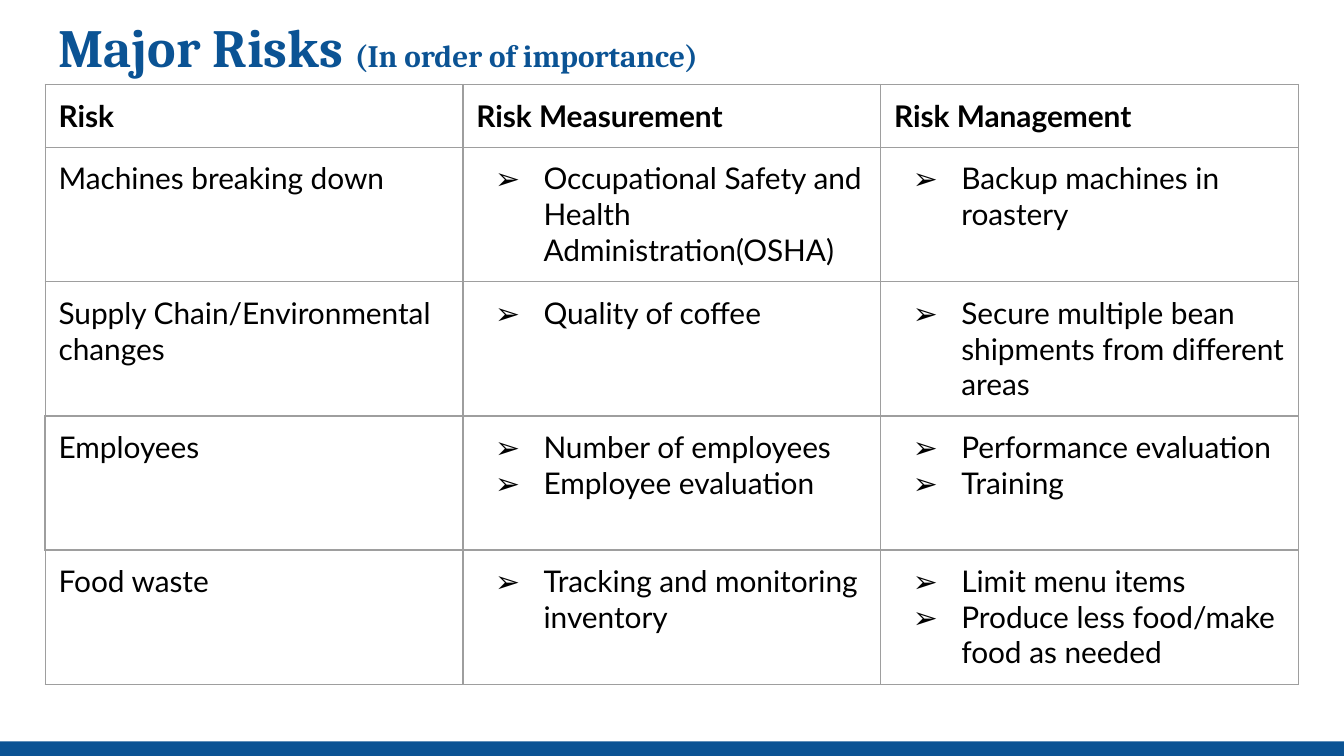
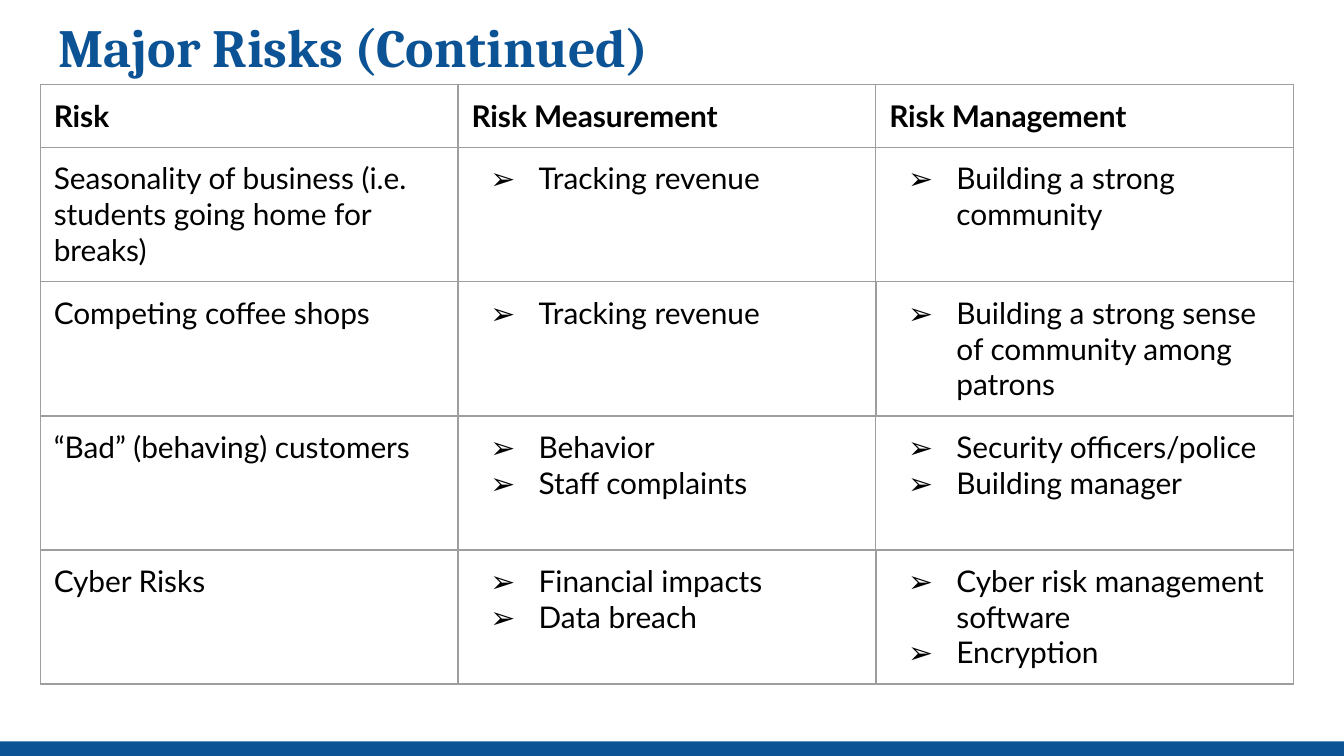
"""Build two slides that list major risks in tables."""
import dataclasses

import pptx
import pptx.dml.color
import pptx.enum.shapes
import pptx.enum.text
import pptx.oxml
import pptx.oxml.ns
import pptx.util

Pt = pptx.util.Pt


def rgb(value):
    """Return a colour from its hex digits."""
    return pptx.dml.color.RGBColor.from_string(value)


@dataclasses.dataclass(frozen=True)
class Theme:
    """Hold the colours, fonts, type sizes and line widths of the deck."""

    blue: str = "0B5394"
    white: str = "FFFFFF"
    black: str = "000000"
    grey: str = "9E9E9E"
    title_font: str = "Cambria"
    body_font: str = "Lato"
    title_size: float = 28.8
    subtitle_size: float = 16.7
    body_size: float = 16
    inset: float = 7.2
    bullet_indent: float = 36
    bullet_hang: float = 25.9
    thin: float = 0.75
    thick: float = 1
    header_height: float = 33.2
    row_height: float = 71.7


@dataclasses.dataclass(frozen=True)
class Box:
    """Describe a region of the page in points."""

    left: float
    top: float
    width: float
    height: float

    def lengths(self):
        """Return left, top, width and height as lengths."""
        return [Pt(value) for value in dataclasses.astuple(self)]


THEME = Theme()
PAGE = Box(0, 0, 720, 405)
BAND = Box(0, 397.2, PAGE.width, 7.8)
TITLE = Box(24.2, 0, 671.4, 48.8)
TABLE_TOP = 45.2
HEADINGS = ("Risk", "Risk Measurement", "Risk Management")

PAGES = [
    {
        "title": [("Major Risks ", THEME.title_size),
                  ("(In order of importance)", THEME.subtitle_size)],
        "table_left": 24.2,
        "thick_rows": {3},
        "risks": [
            ("Machines breaking down",
             ["Occupational Safety and Health Administration(OSHA)"],
             ["Backup machines in roastery"]),
            ("Supply Chain/Environmental changes",
             ["Quality of coffee"],
             ["Secure multiple bean shipments from different areas"]),
            ("Employees",
             ["Number of employees", "Employee evaluation"],
             ["Performance evaluation", "Training"]),
            ("Food waste",
             ["Tracking and monitoring inventory"],
             ["Limit menu items", "Produce less food/make food as needed"]),
        ],
    },
    {
        "title": [("Major Risks (Continued)", THEME.title_size)],
        "table_left": 21.6,
        "thick_rows": {2, 4},
        "risks": [
            ("Seasonality of business (i.e. students going home for breaks)",
             ["Tracking revenue"],
             ["Building a strong community"]),
            ("Competing coffee shops",
             ["Tracking revenue"],
             ["Building a strong sense of community among patrons"]),
            ("“Bad” (behaving) customers",
             ["Behavior", "Staff complaints"],
             ["Security officers/police", "Building manager"]),
            ("Cyber Risks",
             ["Financial impacts", "Data breach"],
             ["Cyber risk management software", "Encryption"]),
        ],
    },
]


def apply_format(target, values):
    """Set each named attribute of the target."""
    for name, value in values.items():
        setattr(target, name, value)


def margins():
    """Return the equal insets used by the title and the cells."""
    sides = ("left", "top", "right", "bottom")
    return {f"margin_{side}": Pt(THEME.inset) for side in sides}


def add_span(para, text, color, **values):
    """Add one formatted run to a paragraph."""
    span = para.add_run()
    span.text = text
    apply_format(span.font, values)
    span.font.color.rgb = rgb(color)


def add_element(parent, xml):
    """Append an element of the drawing namespace to its parent."""
    tag, rest = xml.split(" ", 1)
    namespace = pptx.oxml.ns.nsdecls("a")
    parent.append(pptx.oxml.parse_xml(f"<a:{tag} {namespace} {rest}"))


def add_bullet(para):
    """Give a paragraph an arrow bullet with a hanging indent."""
    properties = para._p.get_or_add_pPr()
    properties.set("marL", str(Pt(THEME.bullet_indent)))
    properties.set("indent", str(-Pt(THEME.bullet_hang)))
    add_element(properties, f'buClr ><a:srgbClr val="{THEME.black}"/></a:buClr>')
    add_element(properties, f'buSzPts val="{THEME.body_size * 100}"/>')
    add_element(properties, f'buFont typeface="{THEME.body_font}"/>')
    add_element(properties, 'buChar char="➢"/>')


def add_borders(cell, widths):
    """Draw the cell borders, with one width for each side."""
    properties = cell._tc.get_or_add_tcPr()
    for side, width in widths.items():
        add_element(properties, f'ln{side} w="{Pt(width)}"><a:solidFill>'
                                f'<a:srgbClr val="{THEME.grey}"/></a:solidFill>'
                                f'</a:ln{side}>')


def border_widths(row, thick_rows):
    """Return side widths; an edge is thick if either row beside it is."""
    def width(*rows):
        return THEME.thick if thick_rows.intersection(rows) else THEME.thin

    return {"L": width(row), "R": width(row),
            "T": width(row - 1, row), "B": width(row, row + 1)}


def fill_cell(cell, content, bold, widths):
    """Write plain text, or a list of bulleted items, in a bordered cell."""
    add_borders(cell, widths)
    cell.fill.background()
    apply_format(cell, margins())
    bulleted = isinstance(content, list)
    frame = cell.text_frame
    for index, text in enumerate(content if bulleted else [content]):
        para = frame.add_paragraph() if index else frame.paragraphs[0]
        if bulleted:
            add_bullet(para)
        add_span(para, text, THEME.black, name=THEME.body_font,
                 size=Pt(THEME.body_size), bold=bold)


def add_band(page, box):
    """Draw the footer band."""
    band = page.shapes.add_shape(
        pptx.enum.shapes.MSO_SHAPE.RECTANGLE, *box.lengths())
    band.shadow.inherit = False
    band.fill.solid()
    band.fill.fore_color.rgb = rgb(THEME.blue)
    band.line.fill.background()


def add_title(page, box, parts):
    """Write the title from its parts of text and size."""
    frame = page.shapes.add_textbox(*box.lengths()).text_frame
    apply_format(frame, {
        "word_wrap": True,
        "vertical_anchor": pptx.enum.text.MSO_ANCHOR.MIDDLE,
        **margins(),
    })
    for text, size in parts:
        add_span(frame.paragraphs[0], text, THEME.blue,
                 name=THEME.title_font, size=Pt(size), bold=True)


def add_risk_table(page, box, risks, thick_rows):
    """Draw the headings and one row for each risk."""
    rows = [HEADINGS, *risks]
    table = page.shapes.add_table(
        len(rows), len(HEADINGS), *box.lengths()).table
    apply_format(table, {"first_row": False, "horz_banding": False})
    for column in table.columns:
        column.width = Pt(box.width / len(HEADINGS))
    for index, contents in enumerate(rows):
        table.rows[index].height = Pt(
            THEME.row_height if index else THEME.header_height)
        widths = border_widths(index, thick_rows)
        for column, content in enumerate(contents):
            fill_cell(table.cell(index, column), content, index == 0, widths)


def add_risk_page(deck, title, table_left, thick_rows, risks):
    """Add a page with a footer band, a title and a risk table."""
    page = deck.slides.add_slide(deck.slide_layouts[6])
    page.background.fill.solid()
    page.background.fill.fore_color.rgb = rgb(THEME.white)
    add_band(page, BAND)
    add_title(page, TITLE, title)
    height = THEME.header_height + len(risks) * THEME.row_height
    add_risk_table(page, Box(table_left, TABLE_TOP, TITLE.width, height),
                   risks, thick_rows)


def main():
    """Build the deck and save it."""
    deck = pptx.Presentation()
    apply_format(deck, {"slide_width": Pt(PAGE.width),
                        "slide_height": Pt(PAGE.height)})
    for content in PAGES:
        add_risk_page(deck, **content)
    deck.save("out.pptx")


if __name__ == "__main__":
    main()
